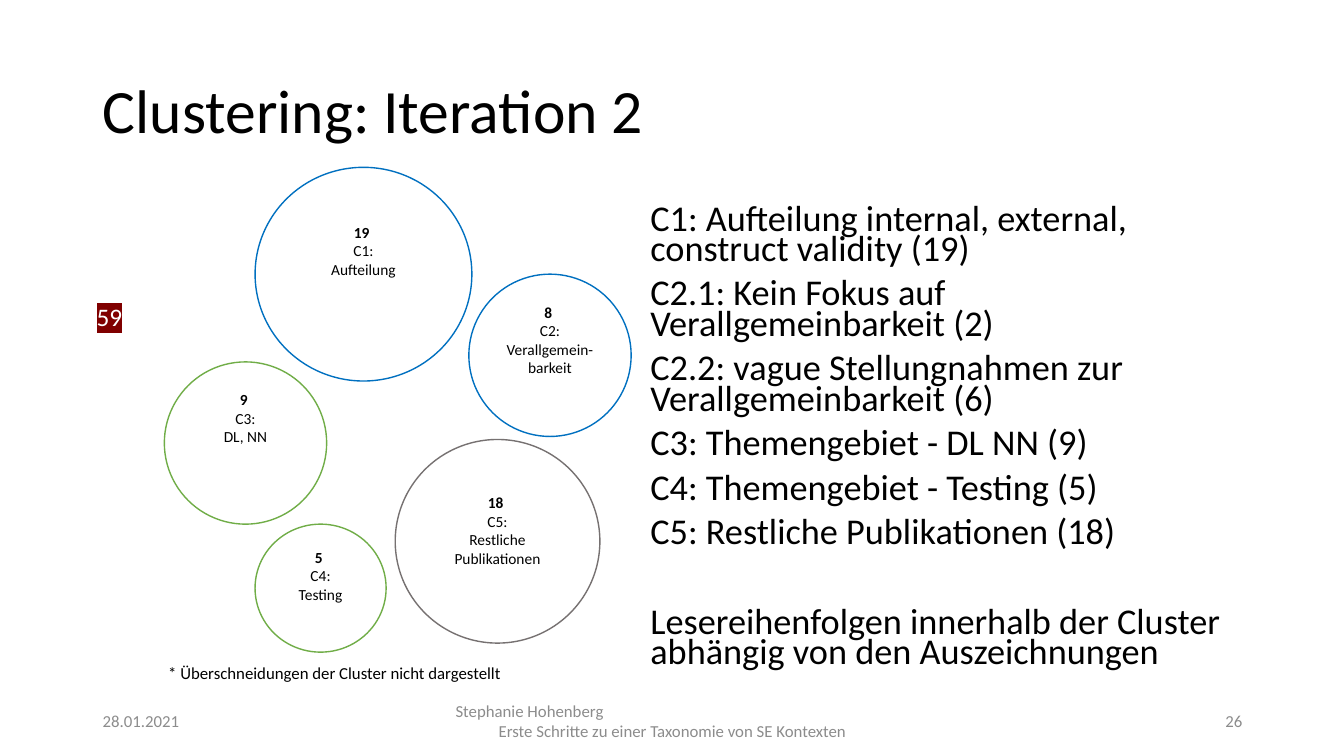
from dataclasses import dataclass

from lxml import etree
from pptx import Presentation
from pptx import util as u
from pptx.dml.color import RGBColor
from pptx.enum import shapes, text
from pptx.oxml import ns

PX = 9144  # EMU per px, 100 px to the inch
FONT = "Calibri"
BLACK = RGBColor(0x00, 0x00, 0x00)
WHITE = RGBColor(0xFF, 0xFF, 0xFF)
GREY = RGBColor(0x8C, 0x8C, 0x8C)
DARK_GREY = RGBColor(0x76, 0x71, 0x71)
BLUE = RGBColor(0x00, 0x70, 0xC0)
GREEN = RGBColor(0x70, 0xAD, 0x47)
MAROON = RGBColor(0x80, 0x00, 0x00)
LEFT, CENTER, RIGHT = text.PP_ALIGN.LEFT, text.PP_ALIGN.CENTER, text.PP_ALIGN.RIGHT
TOP, MIDDLE = text.MSO_ANCHOR.TOP, text.MSO_ANCHOR.MIDDLE

TITLE = "Clustering: Iteration 2"
FINDINGS = [
    "C1: Aufteilung internal, external, construct validity (19)",
    "C2.1: Kein Fokus auf Verallgemeinbarkeit (2)",
    "C2.2: vague Stellungnahmen zur Verallgemeinbarkeit (6)",
    "C3: Themengebiet - DL NN (9)",
    "C4: Themengebiet - Testing (5)",
    "C5: Restliche Publikationen (18)",
    "Lesereihenfolgen innerhalb der Cluster abhängig von den Auszeichnungen",
]


@dataclass(frozen=True)
class Box:
    left: int
    top: int
    width: int
    height: int

    def emu(self) -> tuple[int, int, int, int]:
        return self.left * PX, self.top * PX, self.width * PX, self.height * PX


@dataclass(frozen=True)
class Cluster:
    box: Box
    count: int
    lines: tuple[str, ...]
    color: RGBColor
    inset_top: int = 5


@dataclass(frozen=True)
class Label:
    box: Box
    lines: tuple[str, ...]
    aligns: tuple[text.PP_ALIGN, ...] = (LEFT,)
    size: int = 12
    color: RGBColor = GREY
    anchor: text.MSO_ANCHOR = MIDDLE


CLUSTERS = [
    Cluster(Box(253, 166, 215, 212), 19, ("C1:", "Aufteilung"), BLUE, 24),
    Cluster(Box(465, 272, 161, 161), 8, ("C2:", "Verallgemein-", "barkeit"), BLUE),
    Cluster(Box(163, 359, 161, 161), 9, ("C3:", "DL, NN"), GREEN),
    Cluster(Box(253, 520, 130, 127), 5, ("C4:", "Testing"), GREEN),
    Cluster(Box(392, 436, 203, 202), 18, ("C5:", "Restliche", "Publikationen"), DARK_GREY, 24),
]
LABELS = [
    Label(Box(92, 695, 300, 40), ("28.01.2021",)),
    Label(
        Box(442, 695, 450, 40),
        ("Stephanie Hohenberg", "Erste Schritte zu einer Taxonomie von SE Kontexten"),
        (LEFT, CENTER),
    ),
    Label(Box(942, 695, 300, 40), ("26",), (RIGHT,)),
    Label(
        Box(157, 653, 437, 30),
        ("* Überschneidungen der Cluster nicht dargestellt",),
        color=BLACK,
        anchor=TOP,
    ),
]
TOTAL = Label(Box(86, 294, 79, 40), ("59",), size=18, color=WHITE, anchor=TOP)


def style_para(para, size: float, color: RGBColor, align: text.PP_ALIGN) -> None:
    para.alignment = align
    for span in para.runs:
        span.font.name = FONT
        span.font.size = u.Pt(size)
        span.font.color.rgb = color


def place(shape, box: Box) -> None:
    shape.left, shape.top, shape.width, shape.height = box.emu()


def fill_title(shape) -> None:
    place(shape, Box(92, 40, 1150, 145))
    frame = shape.text_frame
    frame.text = TITLE
    frame.auto_size = text.MSO_AUTO_SIZE.NONE
    frame.vertical_anchor = MIDDLE
    frame.paragraphs[0].line_spacing = 0.9
    style_para(frame.paragraphs[0], 44, BLACK, LEFT)


def fill_findings(shape) -> None:
    place(shape, Box(635, 200, 607, 476))
    frame = shape.text_frame
    frame.text = "\n".join(FINDINGS)
    frame.auto_size = text.MSO_AUTO_SIZE.NONE
    frame.vertical_anchor = TOP
    gaps = [0] + [10] * (len(FINDINGS) - 2) + [42]
    for para, gap in zip(frame.paragraphs, gaps):
        properties = para._p.get_or_add_pPr()
        properties.set("marL", "0")
        properties.set("indent", "0")
        etree.SubElement(properties, ns.qn("a:buNone"))
        para.line_spacing = 0.7
        para.space_before = u.Pt(gap)
        style_para(para, 25.9, BLACK, LEFT)


def add_cluster(page, cluster: Cluster) -> None:
    circle = page.shapes.add_shape(shapes.MSO_SHAPE.OVAL, *cluster.box.emu())
    circle.shadow.inherit = False
    circle.fill.background()
    circle.line.color.rgb = cluster.color
    circle.line.width = u.Pt(1)
    frame = circle.text_frame
    frame.word_wrap = True
    frame.vertical_anchor = TOP
    frame.margin_top = cluster.inset_top * PX
    frame.text = "\n".join((f"{cluster.count} ", *cluster.lines))
    for para in frame.paragraphs:
        style_para(para, 11, BLACK, CENTER)
    frame.paragraphs[0].runs[0].font.bold = True


def add_label(page, label: Label):
    frame = page.shapes.add_textbox(*label.box.emu()).text_frame
    frame.word_wrap = True
    frame.vertical_anchor = label.anchor
    frame.text = "\n".join(label.lines)
    for para, align in zip(frame.paragraphs, label.aligns):
        style_para(para, label.size, label.color, align)
    return frame


def highlight(span, color: RGBColor) -> None:
    """Put a marker colour behind a run whose font colour is already set."""
    marker = etree.Element(ns.qn("a:highlight"))
    etree.SubElement(marker, ns.qn("a:srgbClr")).set("val", str(color))
    span._r.rPr.find(ns.qn("a:solidFill")).addnext(marker)


def main() -> None:
    deck = Presentation()
    deck.slide_width, deck.slide_height = 1333 * PX, 750 * PX
    page = deck.slides.add_slide(deck.slide_layouts[1])
    fill_title(page.shapes.title)
    fill_findings(page.placeholders[1])
    for cluster in CLUSTERS:
        add_cluster(page, cluster)
    for label in LABELS:
        add_label(page, label)
    total = add_label(page, TOTAL)
    highlight(total.paragraphs[0].runs[0], MAROON)
    deck.save("out.pptx")


if __name__ == "__main__":
    main()
